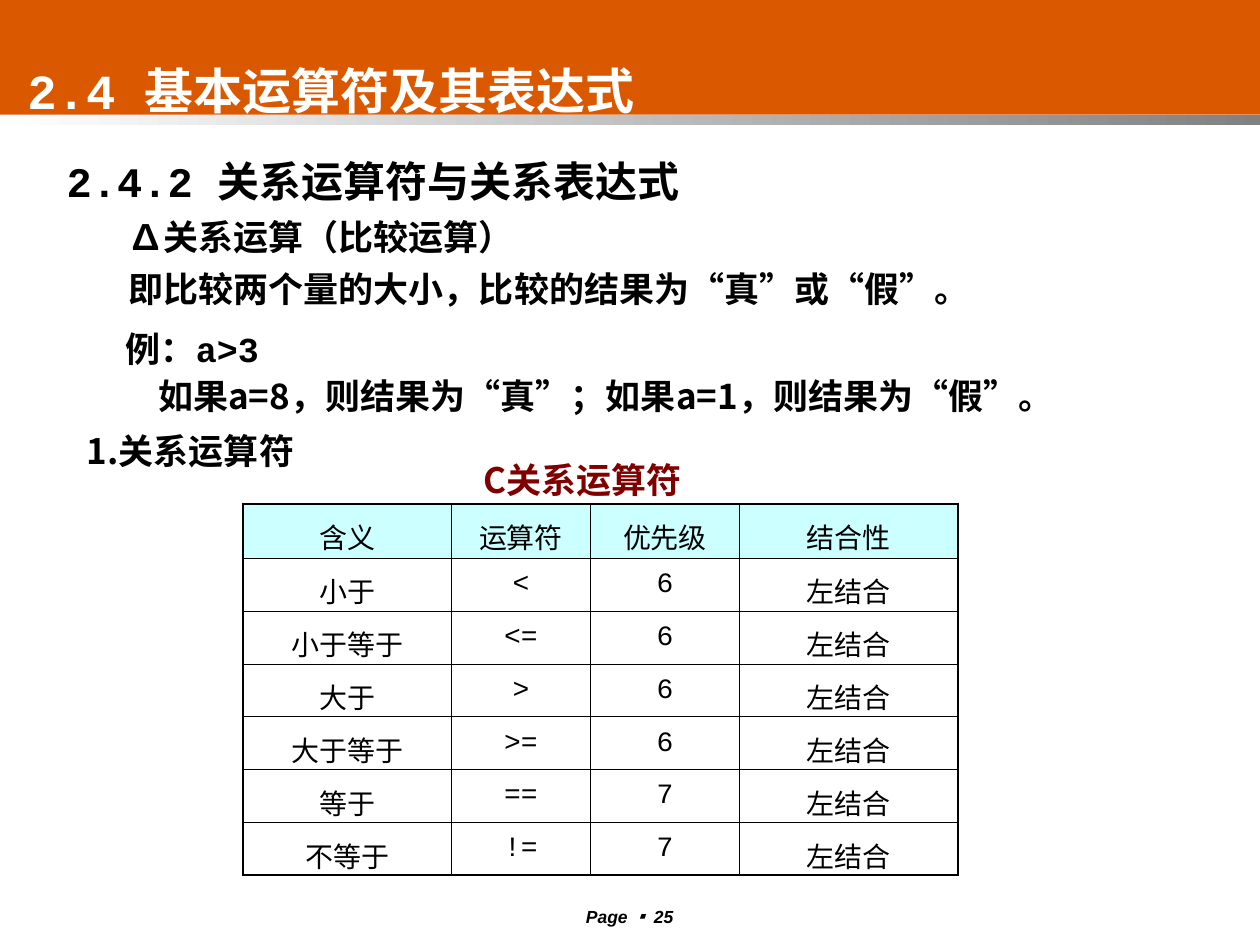
from dataclasses import dataclass

from lxml import etree
from pptx import Presentation
from pptx.dml.color import RGBColor
from pptx.enum.shapes import MSO_SHAPE
from pptx.enum.text import MSO_ANCHOR, PP_ALIGN
from pptx.oxml.ns import qn
from pptx.util import Pt

RECT = MSO_SHAPE.RECTANGLE
TOP, MIDDLE = MSO_ANCHOR.TOP, MSO_ANCHOR.MIDDLE
LEFT, CENTER, JUSTIFY = PP_ALIGN.LEFT, PP_ALIGN.CENTER, PP_ALIGN.JUSTIFY

ORANGE = RGBColor(0xDA, 0x58, 0x00)
GRAY = RGBColor(0x80, 0x80, 0x80)
WHITE = RGBColor(0xFF, 0xFF, 0xFF)
BLACK = RGBColor(0x00, 0x00, 0x00)
MAROON = RGBColor(0x80, 0x00, 0x00)
CYAN = RGBColor(0xCC, 0xFF, 0xFF)

COURIER, TIMES, ARIAL = "Courier New", "Times New Roman", "Arial"
NOTO, NOTO_JP = "Noto Sans CJK SC", "Noto Sans CJK JP"
THIN, THICK = 0.45, 1.08


@dataclass
class Para:
    runs: list[tuple[str, str]]
    size: float
    color: RGBColor = BLACK
    bold: bool = True
    italic: bool = False
    align: PP_ALIGN = LEFT
    spacing: float = 1.0
    before: float = 0
    after: float = 0
    indent: float = 0
    level: int = 0


@dataclass
class Box:
    left: float
    top: float
    width: float
    height: float
    paras: list[Para]
    anchor: MSO_ANCHOR = TOP


def body_line(text: str, font: str, size: float, **kw) -> Para:
    return Para([(text, font)], size, align=JUSTIFY, spacing=0.9, after=4, **kw)


BOXES = [
    Box(303.3, 514, 113, 16, [
        Para([("Page ", ARIAL), ("▪ ", NOTO_JP), ("25", ARIAL)], 10,
             italic=True, align=CENTER)]),
    Box(8.6, 26, 397, 51, [
        Para([("2.4 基本运算符及其表达式", COURIER)], 28, WHITE)], MIDDLE),
    Box(31, 88.5, 652, 107, [
        body_line("2.4.2 关系运算符与关系表达式", COURIER, 24),
        body_line("∆关系运算（比较运算）", TIMES, 20, before=4, indent=35.3, level=1),
        body_line("即比较两个量的大小，比较的结果为“真”或“假”。", TIMES, 20,
                  before=4, indent=35.3, level=1)]),
    Box(64.8, 181.5, 595.5, 60.5, [
        Para([("例：", TIMES), ("a>3", COURIER)], 20, spacing=1.1),
        Para([("如果a=8，则结果为“真”；如果a=1，则结果为“假”。", NOTO)], 20,
             spacing=1.1, indent=18.5)]),
    Box(42.5, 242, 170, 31.7, [Para([("1.关系运算符", NOTO)], 20)]),
    Box(269.3, 258.5, 136, 31.7, [Para([("C关系运算符", NOTO)], 20, MAROON)]),
]

HEADER = ("含义", "运算符", "优先级", "结合性")
OPERATORS = [("小于", "<", 6), ("小于等于", "<=", 6), ("大于", ">", 6),
             ("大于等于", ">=", 6), ("等于", "==", 7), ("不等于", "!=", 7)]
COL_WIDTHS = (119, 79.4, 85.2, 124.7)
HEADER_HEIGHT, ROW_HEIGHT = 31, 30.2


def add_run(p, text: str, *, font: str, size: float, color: RGBColor,
            bold: bool, italic: bool) -> None:
    r = p.add_run()
    r.text = text
    f = r.font
    f.name, f.size, f.bold, f.italic = font, Pt(size), bold, italic
    f.color.rgb = color
    ea = NOTO_JP if font == NOTO_JP else NOTO
    etree.SubElement(r._r.get_or_add_rPr(), qn("a:ea"), typeface=ea)


def fill_text(tf, paras: list[Para]) -> None:
    for i, para in enumerate(paras):
        p = tf.add_paragraph() if i else tf.paragraphs[0]
        p.alignment, p.level = para.align, para.level
        p.line_spacing = para.spacing
        p.space_before, p.space_after = Pt(para.before), Pt(para.after)
        pPr = p._p.get_or_add_pPr()
        pPr.set("marL", str(int(Pt(para.indent))))
        pPr.set("indent", "0")
        for text, font in para.runs:
            add_run(p, text, font=font, size=para.size, color=para.color,
                    bold=para.bold, italic=para.italic)


def add_box(s, box: Box) -> None:
    sp = s.shapes.add_textbox(Pt(box.left), Pt(box.top), Pt(box.width), Pt(box.height))
    tf = sp.text_frame
    tf.word_wrap = True
    tf.vertical_anchor = box.anchor
    fill_text(tf, box.paras)


def add_band(s, top: float, height: float):
    sp = s.shapes.add_shape(RECT, 0, Pt(top), Pt(723), Pt(height))
    sp.shadow.inherit = False
    sp.line.fill.background()
    return sp


def set_borders(cell, widths: dict[str, float]) -> None:
    tcPr = cell._tc.get_or_add_tcPr()
    for side, width in widths.items():
        ln = etree.SubElement(tcPr, qn(f"a:ln{side}"), w=str(int(Pt(width))))
        fill = etree.SubElement(ln, qn("a:solidFill"))
        etree.SubElement(fill, qn("a:srgbClr"), val=str(BLACK))


def add_operator_table(s) -> None:
    rows = [HEADER] + [(*op, "左结合") for op in OPERATORS]
    heights = [HEADER_HEIGHT] + [ROW_HEIGHT] * len(OPERATORS)
    last_row, last_col = len(rows) - 1, len(HEADER) - 1
    table = s.shapes.add_table(len(rows), len(HEADER), Pt(139), Pt(288),
                               Pt(sum(COL_WIDTHS)), Pt(sum(heights))).table
    table.first_row = table.horz_banding = False
    for col, width in zip(table.columns, COL_WIDTHS):
        col.width = Pt(width)
    for i, (values, height) in enumerate(zip(rows, heights)):
        table.rows[i].height = Pt(height)
        for j, value in enumerate(values):
            cell = table.cell(i, j)
            cell.margin_bottom = 0
            set_borders(cell, {"L": THICK if j == 0 else THIN,
                               "R": THICK if j == last_col else THIN,
                               "T": THICK if i == 0 else THIN,
                               "B": THICK if i == last_row else THIN})
            if i == 0:
                cell.fill.solid()
                cell.fill.fore_color.rgb = CYAN
            else:
                cell.fill.background()
            fill_text(cell.text_frame, [
                Para([(str(value), COURIER)], 16, bold=False, align=CENTER,
                     spacing=1.15)])


def main() -> None:
    prs = Presentation()
    prs.slide_width, prs.slide_height = Pt(720), Pt(540)
    s = prs.slides.add_slide(prs.slide_layouts[6])

    banner = add_band(s, 0, 65.5)
    banner.fill.solid()
    banner.fill.fore_color.rgb = ORANGE
    strip = add_band(s, 65.5, 5.8)
    strip.fill.gradient()
    strip.fill.gradient_angle = 180
    for stop, color in zip(strip.fill.gradient_stops, (GRAY, WHITE)):
        stop.color.rgb = color

    add_operator_table(s)
    for box in BOXES:
        add_box(s, box)
    prs.save("out.pptx")


if __name__ == "__main__":
    main()
